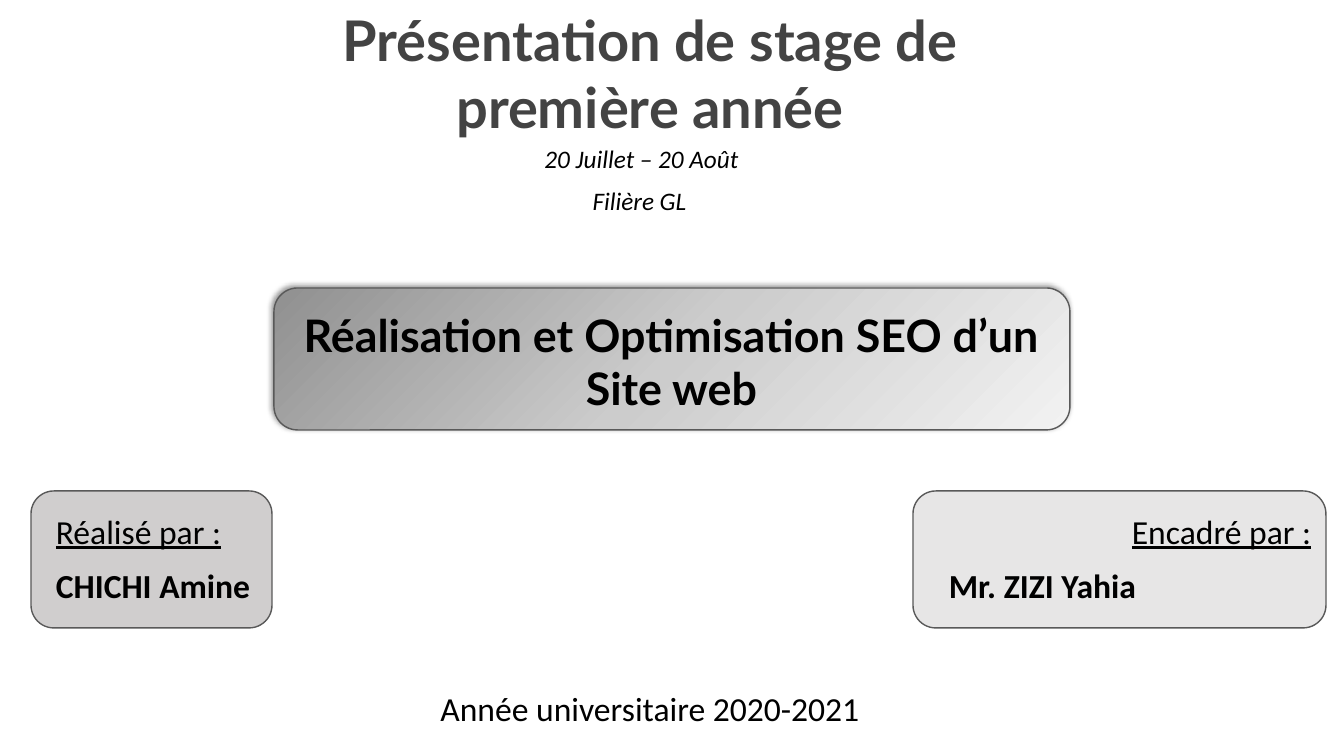
import copy

import pptx
import pptx.dml.color
import pptx.enum.shapes
import pptx.enum.text
import pptx.oxml
import pptx.oxml.ns
import pptx.util

SCALE = 914400 / 100.8  # EMU per px
COLORS = {
    "text": "000000", "title": "434343", "outline": "595959",
    "author": "D0CECE", "supervisor": "E7E6E6",
    "dark": "909090", "middle": "CCCCCC", "light": "F2F2F2",
}
ALIGN = pptx.enum.text.PP_ALIGN
ANCHOR = pptx.enum.text.MSO_ANCHOR
qn = pptx.oxml.ns.qn


def px(*lengths):
    return [pptx.util.Emu(round(length * SCALE)) for length in lengths]


def format_font(font, name, size, color="text", bold=False, italic=False):
    font.name, font.size = name, pptx.util.Pt(size)
    font.bold, font.italic = bold, italic
    font.color.rgb = pptx.dml.color.RGBColor.from_string(COLORS[color])


presentation = pptx.Presentation()
presentation.slide_width, presentation.slide_height = px(1344, 756)
slide = presentation.slides.add_slide(presentation.slide_layouts[0])

# Rounded panels, placed behind the text
panels = {}
for name, box in [("supervisor", (913, 491, 413, 137)),
                  ("author", (31, 491, 241, 137)),
                  ("topic", (274, 288, 796, 142))]:
    panel = slide.shapes.add_shape(
        pptx.enum.shapes.MSO_SHAPE.ROUNDED_RECTANGLE, *px(*box))
    panel.shadow.inherit = False
    panel.line.color.rgb = pptx.dml.color.RGBColor.from_string(COLORS["outline"])
    panel.line.width = pptx.util.Pt(1)
    if name in COLORS:
        panel.fill.solid()
        panel.fill.fore_color.rgb = pptx.dml.color.RGBColor.from_string(COLORS[name])
    panels[name] = panel

# Three-stop gradient and shadow of the topic panel
topic = panels["topic"]
topic.fill.gradient()
topic.fill.gradient_angle = 315
stop_list = topic._element.spPr.find(qn("a:gradFill")).find(qn("a:gsLst"))
stop_list.append(copy.deepcopy(stop_list[0]))
for stop, position, color in zip(topic.fill.gradient_stops, (0, 0.5, 1),
                                 ("dark", "middle", "light")):
    stop.position = position
    stop.color.rgb = pptx.dml.color.RGBColor.from_string(COLORS[color])
topic._element.spPr.find(qn("a:effectLst")).append(pptx.oxml.parse_xml(
    '<a:outerShdw xmlns:a="http://schemas.openxmlformats.org/drawingml/2006/main"'
    ' blurRad="50800" dist="38100" dir="13500000" algn="br" rotWithShape="0">'
    f'<a:srgbClr val="{COLORS["text"]}"><a:alpha val="40000"/></a:srgbClr>'
    '</a:outerShdw>'))

# Title and topic
tree = slide.shapes._spTree
for placeholder, text, box, size, color in [
    (slide.placeholders[1], "Réalisation et Optimisation SEO d’un\nSite web",
     (236, 321, 871, 107), 32, "text"),
    (slide.shapes.title, "Présentation de stage de première année",
     (232, 0, 836, 153), 40, "title"),
]:
    tree.append(placeholder._element)  # bring in front of the panels
    placeholder.left, placeholder.top, placeholder.width, placeholder.height = px(*box)
    frame = placeholder.text_frame
    frame.text = text
    frame.word_wrap = True
    frame.auto_size = pptx.enum.text.MSO_AUTO_SIZE.NONE
    frame.vertical_anchor = ANCHOR.BOTTOM
    (frame.margin_left, frame.margin_top,
     frame.margin_right, frame.margin_bottom) = px(13, 13, 13, 13)
    for paragraph in frame.paragraphs:
        paragraph.alignment = ALIGN.CENTER
        paragraph.space_before = pptx.util.Pt(0)
        for run in paragraph.runs:
            format_font(run.font, "Lato", size, color, bold=True)

# Author and supervisor, set in two columns by a tab stop
people = slide.shapes.add_textbox(*px(46, 503, 1298, 107)).text_frame
people.word_wrap = True
people.text = "\n"
for paragraph, left, right, tab, heading in zip(
        people.paragraphs, ("Réalisé par :", "CHICHI Amine"),
        ("Encadré par :", "Mr. ZIZI Yahia"), (1076, 893), (True, False)):
    tab_list = pptx.oxml.parse_xml(
        '<a:tabLst xmlns:a="http://schemas.openxmlformats.org/drawingml/2006/main">'
        f'<a:tab pos="{px(tab)[0]}" algn="l"/></a:tabLst>')
    paragraph._p.get_or_add_pPr().append(tab_list)
    paragraph.line_spacing = 1.07
    paragraph.space_after = pptx.util.Pt(8)
    for text in (left, "\t", right):
        run = paragraph.add_run()
        run.text = text
        format_font(run.font, "Calibri", 24, bold=not heading)
        run.font.underline = heading and text != "\t"

# Dates, programme and academic year
for text, box, size, italic in [
    ("20 Juillet – 20 Août", (533, 138, 217, 40), 18, True),
    ("Filière GL", (582, 180, 115, 40), 18, True),
    ("Année universitaire 2020-2021", (428, 683, 444, 50), 24, False),
]:
    frame = slide.shapes.add_textbox(*px(*box)).text_frame
    frame.word_wrap = False
    frame.text = text
    paragraph = frame.paragraphs[0]
    paragraph.alignment = ALIGN.CENTER
    format_font(paragraph.runs[0].font, "Calibri", size, italic=italic)

presentation.save("out.pptx")
